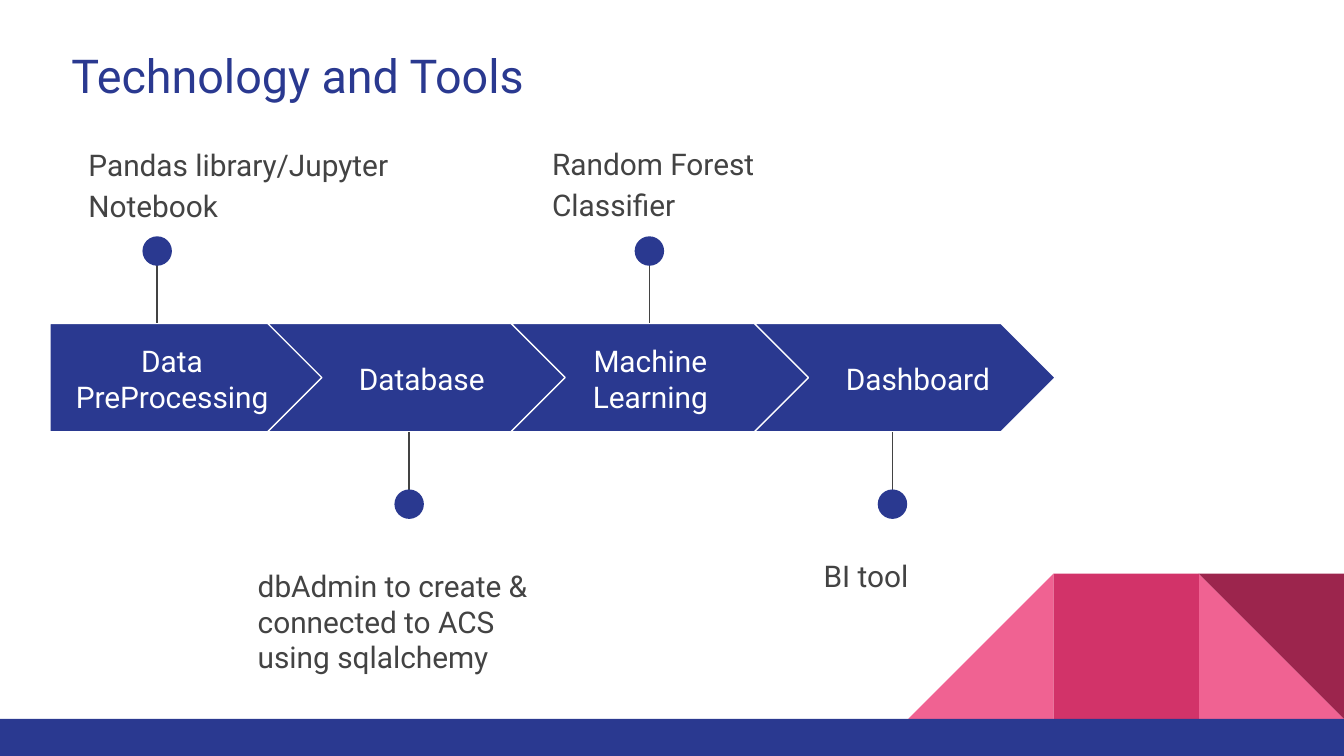
from pptx import Presentation
from pptx.dml.color import RGBColor as Rgb
from pptx.enum.shapes import MSO_CONNECTOR as Link, MSO_SHAPE as Kind
from pptx.enum.text import MSO_ANCHOR as Anchor, MSO_AUTO_SIZE as Fit, PP_ALIGN as Align
from pptx.oxml.ns import qn
from pptx.util import Pt
from lxml import etree

HEX = {"blue": "2A3990", "gray": "434343", "white": "FFFFFF",
       "pink": "F06292", "rose": "D23369", "wine": "9C254D"}
FONT = "Roboto"
WIDE, HIGH = 720, 405
TITLE = ("Technology and Tools", (31, 18, 375.8, 44.6))
STAGES = [
    {"name": "Data PreProcessing", "box": (31, 122.4), "stem": 84.2, "up": True,
     "tool": "Pandas library/Jupyter Notebook", "at": (4.3, 68.4, 222.5, 71.3),
     "style": {"space": 1.15, "indent": 36}},
    {"name": "Database", "box": (174.2, 103.7), "stem": 219.2, "up": False,
     "tool": "dbAdmin to create & connected to ACS using sqlalchemy",
     "at": (131, 296.8, 176.4, 71.3), "style": {}},
    {"name": "Machine Learning", "box": (296.6, 103.7), "stem": 347.9, "up": True,
     "tool": "Random Forest Classifier", "at": (288.7, 67.8, 176.4, 54),
     "style": {"space": 1.15}},
    {"name": "Dashboard", "box": (439.9, 103.7), "stem": 478.1, "up": False,
     "tool": "BI tool", "at": (434.2, 288.7, 88.6, 71.3),
     "style": {"space": 1.15}},
]
TOP, TALL = 173.3, 58
LEFT, FIRST, STEP, WIDTH = 26.8, 143.4, 130.35, 161.2
DOT, STEM = 15.8, 44
SIDE, BAR = 77.8, 19.9

deck = Presentation()
deck.slide_width, deck.slide_height = Pt(WIDE), Pt(HIGH)
slide = deck.slides.add_slide(deck.slide_layouts[5])


def place(item, box):
    item.left, item.top, item.width, item.height = map(Pt, box)


def write(text, box, item=None, size=16, color="gray", align=Align.LEFT,
          anchor=Anchor.TOP, space=1, after=0, indent=0):
    item = item or slide.shapes.add_textbox(0, 0, 0, 0)
    place(item, box)
    frame = item.text_frame
    frame.word_wrap, frame.auto_size = True, Fit.NONE
    frame.vertical_anchor = anchor
    frame.margin_left = frame.margin_right = Pt(7.2)
    frame.margin_top = frame.margin_bottom = Pt(7.2)
    para = frame.paragraphs[0]
    para.alignment, para.line_spacing = align, space
    para.space_before, para.space_after = Pt(0), Pt(after)
    if indent:
        para._p.get_or_add_pPr().set("marL", str(Pt(indent)))
    run = para.add_run()
    run.text = text
    run.font.name, run.font.size = FONT, Pt(size)
    run.font.color.rgb = Rgb.from_string(HEX[color])


def draw(kind, box, color, edge=None):
    item = slide.shapes.add_shape(kind, *map(Pt, box))
    item.shadow.inherit = False
    item.fill.solid()
    item.fill.fore_color.rgb = Rgb.from_string(HEX[color])
    if edge:
        item.line.color.rgb = Rgb.from_string(HEX[edge])
        item.line.width = Pt(0.75)
    else:
        item.line.fill.background()
    return item


def stem(x, start, end):
    line = slide.shapes.add_connector(Link.STRAIGHT, Pt(x), Pt(start), Pt(x), Pt(end))
    line.line.color.rgb = Rgb.from_string(HEX["gray"])
    line.line.width = Pt(0.75)
    etree.SubElement(line.element.spPr, qn("a:effectLst"))


base = HIGH - BAR
cols = [WIDE - SIDE * n for n in (3, 2, 1)]
tiles = [(x, base - SIDE, SIDE, SIDE) for x in cols]
draw(Kind.RIGHT_TRIANGLE, tiles[2], "pink")
slope = draw(Kind.RIGHT_TRIANGLE, tiles[0], "pink")
slope.element.spPr.get_or_add_xfrm().set("flipH", "1")
draw(Kind.RECTANGLE, tiles[1], "rose")
draw(Kind.RIGHT_TRIANGLE, tiles[2], "wine").rotation = 180
draw(Kind.RECTANGLE, (0, base, WIDE, BAR), "blue")

write(TITLE[0], TITLE[1], item=slide.shapes.title, size=25, color="blue")

for n, stage in enumerate(STAGES):
    if n:
        box = (FIRST + STEP * (n - 1), TOP, WIDTH, TALL)
        draw(Kind.CHEVRON, box, "blue", "white")
    else:
        draw(Kind.PENTAGON, (LEFT, TOP, 147.6, TALL), "blue", "white")

for stage in STAGES:
    x = stage["stem"]
    if stage["up"]:
        edge, far, mid = TOP, TOP - STEM, TOP - 38.8
    else:
        edge, far, mid = TOP + TALL, TOP + TALL + STEM, TOP + TALL + 38.8
    stem(x, far, edge)
    draw(Kind.OVAL, (x - DOT / 2, mid - DOT / 2, DOT, DOT), "blue")
    write(stage["tool"], stage["at"], after=16, **stage["style"])
    left, width = stage["box"]
    write(stage["name"], (left, 184.3, width, 36.7), color="white",
          align=Align.CENTER, anchor=Anchor.MIDDLE)

deck.save("out.pptx")
